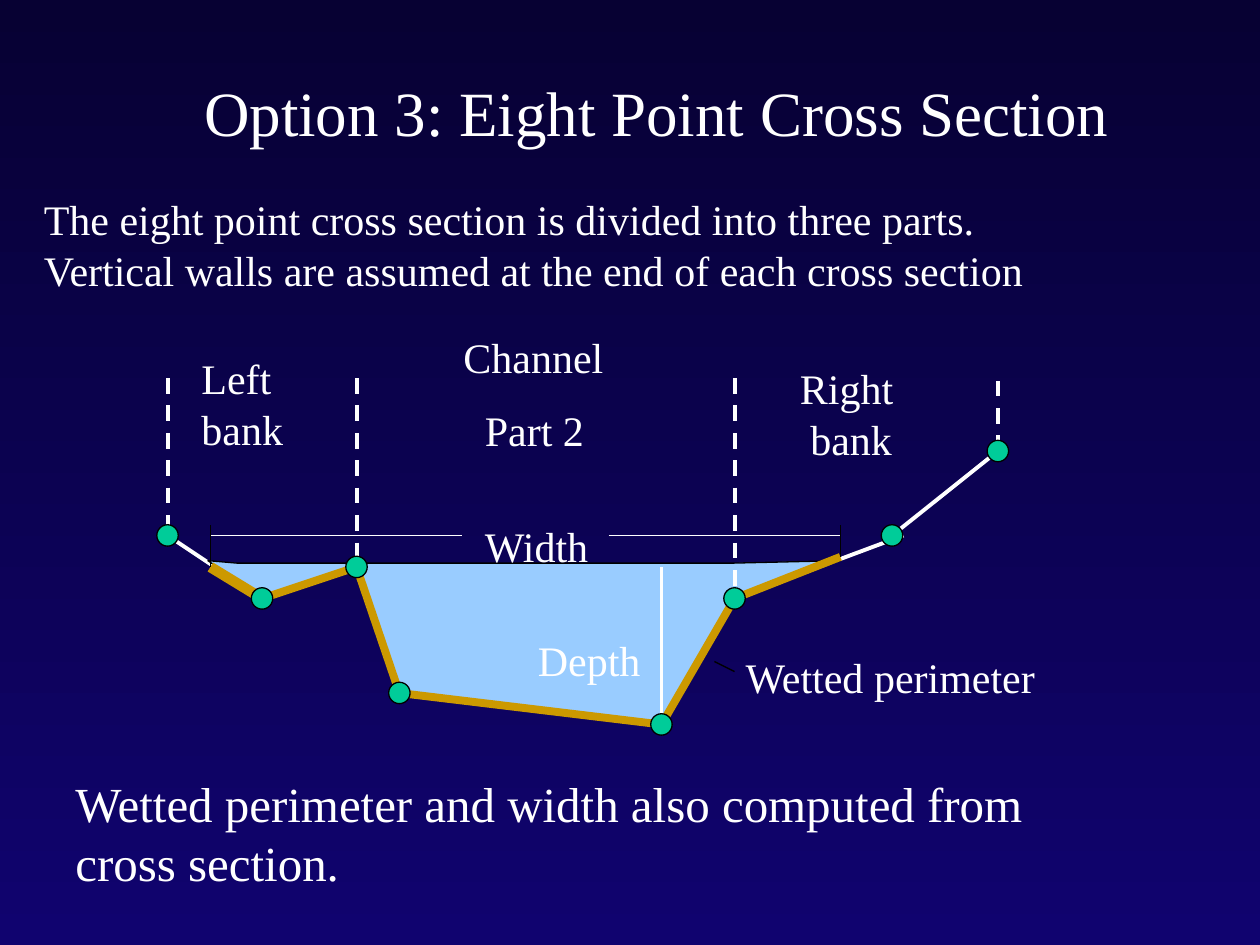
from dataclasses import dataclass
from itertools import pairwise
from typing import NamedTuple

from pptx import Presentation
from pptx.dml.color import RGBColor
from pptx.enum.dml import MSO_LINE_DASH_STYLE as Dash
from pptx.enum.shapes import MSO_CONNECTOR as Connector, MSO_SHAPE as Preset
from pptx.enum.text import MSO_ANCHOR as Anchor, MSO_AUTO_SIZE as AutoSize, PP_ALIGN as Align
from pptx.oxml.ns import qn
from pptx.slide import Slide
from pptx.util import Inches, Pt
from lxml.etree import SubElement


@dataclass(frozen=True)
class Theme:
    font: str = "Times New Roman"
    sky_top: str = "070133"
    sky_bottom: str = "10036F"
    white: str = "FFFFFF"
    black: str = "000000"
    water: str = "99CCFF"
    wetted: str = "CC9900"
    marker: str = "00CC99"
    title_size: float = 36
    note_size: float = 28
    label_size: float = 24
    thin: float = 0.75
    medium: float = 2.25
    thick: float = 4.5
    heavy: float = 6


class Point(NamedTuple):
    x: float
    y: float


class Label(NamedTuple):
    text: str
    left: float
    top: float
    width: float
    height: float = 0.5
    size: float = Theme.label_size
    wrap: bool = False


class Stroke(NamedTuple):
    start: Point
    end: Point
    color: str = Theme.white
    width: float = Theme.medium
    dashed: bool = False


THEME = Theme()
MARKER_SIZE = 0.17
WALL_TOP = 3

# The eight surveyed points, from left bank to right bank
SURVEY = [Point(1.33, 4.25), Point(2.08, 4.75), Point(2.83, 4.5), Point(3.17, 5.5),
          Point(5.25, 5.75), Point(5.83, 4.75), Point(7.08, 4.25), Point(7.92, 3.58)]
LEFT_END, LEFT_LOW, LEFT_LIP, _, DEEPEST, RIGHT_LIP, RIGHT_KNEE, RIGHT_END = SURVEY
LEFT_EDGE, RIGHT_EDGE = Point(1.67, 4.5), Point(6.67, 4.42)
WATER_SURFACE = [Point(6.67, 4.45), Point(5.82, 4.47), Point(1.88, 4.47), Point(1.65, 4.45)]

GROUND = [
    Stroke(LEFT_END, LEFT_LOW),
    Stroke(RIGHT_LIP, Point(7.17, 4.25)),
    Stroke(RIGHT_KNEE, RIGHT_END),
]
WETTED_PERIMETER = [
    Stroke(LEFT_EDGE, LEFT_LOW, THEME.wetted, THEME.heavy),
    *(Stroke(start, end, THEME.wetted, THEME.thick)
      for start, end in pairwise([*SURVEY[1:6], RIGHT_EDGE])),
]
WALLS = [Stroke(Point(x, WALL_TOP), Point(x, bottom), dashed=True)
         for x, bottom in ((LEFT_END.x, 4.25), (LEFT_LIP.x, 4.58), (RIGHT_LIP.x, 4.67))]
WALLS.append(Stroke(RIGHT_END, Point(RIGHT_END.x, WALL_TOP), dashed=True))
DIMENSIONS = [
    Stroke(Point(DEEPEST.x, 4.5), DEEPEST),
    Stroke(Point(LEFT_EDGE.x, 4.25), Point(3.67, 4.25), width=THEME.thin),
    Stroke(Point(4.83, 4.25), Point(RIGHT_EDGE.x, 4.25), width=THEME.thin),
    Stroke(Point(LEFT_EDGE.x, 4.17), LEFT_EDGE, THEME.black, THEME.thin),
    Stroke(Point(RIGHT_EDGE.x, 4.17), RIGHT_EDGE, THEME.black, THEME.thin),
    Stroke(Point(5.67, 5.25), Point(5.83, 5.33), THEME.black, THEME.thin),
]
LABELS = [
    Label("Part 2", 3.75, 3.16, 1),
    Label("Depth", 4.17, 4.99, 1.02),
    Label("Channel", 3.58, 2.58, 1.32),
    Label("Left \nbank", 1.5, 2.75, 1.08, 0.91, wrap=True),
    Label("Right\n bank", 6.25, 2.83, 0.95, 0.91),
    Label("Wetted perimeter", 5.82, 5.12, 2.52),
    Label("Width", 3.75, 4.08, 1.05),
    Label("Wetted perimeter and width also computed from \ncross section.",
          0.5, 6.09, 7.89, 1.04, THEME.note_size),
]
INTRO = [
    "The eight point cross section is divided into three parts.",
    "Vertical walls are assumed at the end of each cross section",
]


def rgb(color: str) -> RGBColor:
    return RGBColor.from_string(color)


def style_font(para, size: float) -> None:
    para.font.name = THEME.font
    para.font.size = Pt(size)
    para.font.color.rgb = rgb(THEME.white)


def paint_background(slide: Slide) -> None:
    fill = slide.background.fill
    fill.gradient()
    fill.gradient_angle = 270
    for stop, color in zip(fill.gradient_stops, (THEME.sky_top, THEME.sky_bottom)):
        stop.color.rgb = rgb(color)


def write_title(slide: Slide, text: str) -> None:
    title = slide.shapes.title
    title.left, title.top = Inches(0.42), Inches(0.42)
    title.width, title.height = Inches(9.58), Inches(0.92)
    title.text_frame.vertical_anchor = Anchor.MIDDLE
    para = title.text_frame.paragraphs[0]
    para.text = text
    para.alignment = Align.CENTER
    style_font(para, THEME.title_size)


def add_label(slide: Slide, label: Label, more: tuple[str, ...] = ()) -> None:
    """Add a text box; each text in more becomes a further paragraph."""
    box = slide.shapes.add_textbox(Inches(label.left), Inches(label.top),
                                   Inches(label.width), Inches(label.height))
    frame = box.text_frame
    frame.word_wrap = label.wrap
    frame.auto_size = AutoSize.SHAPE_TO_FIT_TEXT
    for index, text in enumerate((label.text, *more)):
        para = frame.add_paragraph() if index else frame.paragraphs[0]
        para.text = text
        style_font(para, label.size)


def add_stroke(slide: Slide, stroke: Stroke) -> None:
    ends = (Inches(value) for value in (*stroke.start, *stroke.end))
    connector = slide.shapes.add_connector(Connector.STRAIGHT, *ends)
    connector.line.color.rgb = rgb(stroke.color)
    connector.line.width = Pt(stroke.width)
    if stroke.dashed:
        connector.line.dash_style = Dash.DASH
    SubElement(connector._element.spPr, qn("a:effectLst"))


def style_solid(shape, color: str) -> None:
    shape.shadow.inherit = False
    shape.fill.solid()
    shape.fill.fore_color.rgb = rgb(color)
    shape.line.color.rgb = rgb(THEME.black)
    shape.line.width = Pt(THEME.thin)


def add_water(slide: Slide) -> None:
    outline = [(Inches(x), Inches(y)) for x, y in [*WATER_SURFACE, *SURVEY[1:6]]]
    # The bed runs left to right, so the surface closes it from right to left
    builder = slide.shapes.build_freeform(*outline[0])
    builder.add_line_segments(outline[1:], close=True)
    style_solid(builder.convert_to_shape(), THEME.water)


def add_marker(slide: Slide, center: Point) -> None:
    marker = slide.shapes.add_shape(
        Preset.OVAL, Inches(center.x - MARKER_SIZE / 2), Inches(center.y - MARKER_SIZE / 2),
        Inches(MARKER_SIZE), Inches(MARKER_SIZE))
    style_solid(marker, THEME.marker)


def main() -> None:
    deck = Presentation()
    deck.slide_width, deck.slide_height = Inches(10), Inches(7.5)
    slide = deck.slides.add_slide(deck.slide_layouts[5])
    paint_background(slide)
    write_title(slide, "Option 3: Eight Point Cross Section")
    add_label(slide, Label(INTRO[0], 0.25, 1.49, 8.04, 0.91), tuple(INTRO[1:]))
    for stroke in GROUND:
        add_stroke(slide, stroke)
    add_water(slide)
    for stroke in (*WETTED_PERIMETER, *WALLS, *DIMENSIONS):
        add_stroke(slide, stroke)
    for center in SURVEY:
        add_marker(slide, center)
    for label in LABELS:
        add_label(slide, label)
    deck.save("out.pptx")


if __name__ == "__main__":
    main()
